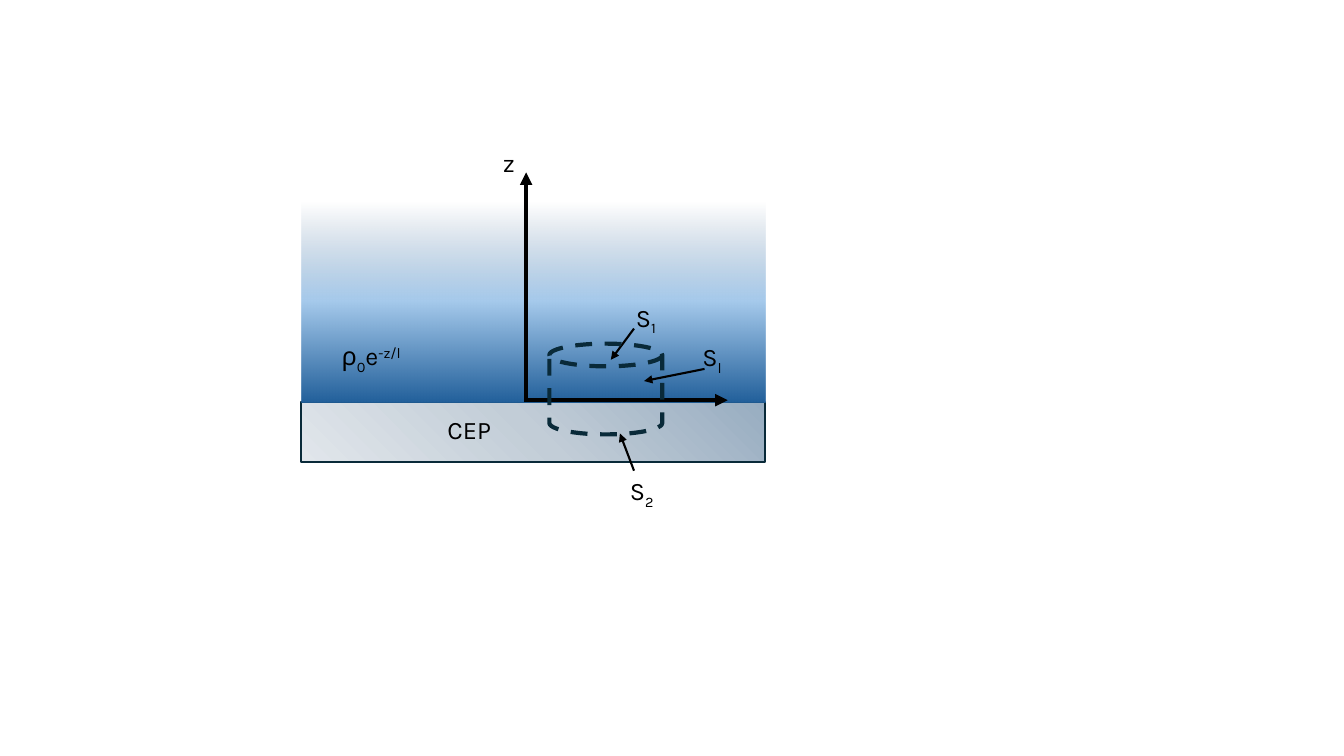
"""Draw a charged layer above a conducting plate with its cylindrical Gauss surface."""
from dataclasses import dataclass

from lxml import etree
from pptx import Presentation
from pptx.dml.color import RGBColor
from pptx.enum import dml, shapes, text
from pptx.oxml import ns
from pptx.util import Pt

COLOURS = {
    "ink": "000000",
    "outline": "092A39",
    "steel": "98ADC1",
    "silver": "C2CDD7",
    "pale": "E1E6EB",
    "sky": "A6CAEC",
    "deep": "215F9A",
}
LABEL_FONT = {"name": "Karla", "size": Pt(18)}
LABEL_FRAME = {"word_wrap": True, "auto_size": text.MSO_AUTO_SIZE.SHAPE_TO_FIT_TEXT}
LABEL_HEIGHT = 28.8
SUB, SUP = -25, 30
LEFT, SURFACE, WIDTH = 215.28, 287.28, 331.2


@dataclass
class Stop:
    """One gradient stop, in percent."""
    position: int
    colour: str
    opacity: int = 100


@dataclass
class Body:
    """A preset shape with an optional gradient and outline."""
    preset: shapes.MSO_SHAPE
    box: tuple[float, float, float, float]
    stops: tuple[Stop, ...] = ()
    angle: int = 0
    line_width: float = 0
    dashed: bool = False


@dataclass
class Arrow:
    """A straight arrow between two points."""
    start: tuple[float, float]
    tip: tuple[float, float]
    width: float


@dataclass
class Label:
    """A text label made of (text, baseline) pieces."""
    left: float
    top: float
    width: float
    pieces: tuple[tuple[str, int], ...]


PLATE = Body(shapes.MSO_SHAPE.RECTANGLE, (LEFT, SURFACE, WIDTH, 42.48),
             (Stop(0, "steel"), Stop(50, "silver"), Stop(100, "pale")), 135, 1.5)
CHARGE = Body(shapes.MSO_SHAPE.RECTANGLE, (LEFT, 144.72, WIDTH, SURFACE - 144.72),
              (Stop(0, "steel", 0), Stop(49, "sky"), Stop(100, "deep")), 90)
CYLINDER = Body(shapes.MSO_SHAPE.CAN, (392.4, 245.52, 80.64, 64.8),
                line_width=3, dashed=True)
ARROWS = (
    Arrow((374.4, 285.84), (519.84, 285.84), 3),
    Arrow((375.84, SURFACE), (375.84, 123.12), 3),
    Arrow((452.88, 336.24), (442.8, 309.6), 1.5),
    Arrow((452.88, 234.72), (436.32, 257.04), 1.5),
    Arrow((503.28, 263.52), (460.08, 272.16), 1.5),
)
LABELS = (
    Label(312.48, 292.32, 79.92, (("CEP", 0),)),
    Label(352.08, 101.52, 51.12, (("z", 0),)),
    Label(447.12, 212.4, 52.56, (("S", 0), ("1", SUB))),
    Label(442.8, 336.24, 52.56, (("S", 0), ("2", SUB))),
    Label(236.88, 239.76, 66.96, (("ρ", 0), ("0", SUB), ("e", 0), ("-z/l", SUP))),
    Label(494.64, 240.48, 52.56, (("S", 0), ("l", SUB))),
)


def rgb(name: str) -> RGBColor:
    """Return the named colour."""
    return RGBColor.from_string(COLOURS[name])


def apply(target: object, values: dict) -> None:
    """Set every format value on the target."""
    for key, value in values.items():
        setattr(target, key, value)


def add_child(parent: etree._Element, tag: str, **attributes: object) -> etree._Element:
    """Append a DrawingML element with its attributes."""
    child = etree.SubElement(parent, ns.qn(f"a:{tag}"))
    for key, value in attributes.items():
        child.set(key, str(value))
    return child


def fill_gradient(shape, stops: tuple[Stop, ...], angle: int) -> None:
    """Fill the shape with a linear gradient, its angle clockwise."""
    shape.fill.gradient()
    gradient = shape._element.spPr.find(ns.qn("a:gradFill"))
    for child in list(gradient):
        gradient.remove(child)
    stop_list = add_child(gradient, "gsLst")
    for stop in stops:
        entry = add_child(stop_list, "gs", pos=stop.position * 1000)
        colour = add_child(entry, "srgbClr", val=COLOURS[stop.colour])
        if stop.opacity < 100:
            add_child(colour, "alpha", val=stop.opacity * 1000)
    add_child(gradient, "lin", ang=angle * 60000, scaled=0)


def draw_body(slide, body: Body) -> None:
    """Draw a preset shape."""
    shape = slide.shapes.add_shape(body.preset, *map(Pt, body.box))
    shape.shadow.inherit = False
    if body.stops:
        fill_gradient(shape, body.stops, body.angle)
    else:
        shape.fill.background()
    if body.line_width:
        shape.line.color.rgb = rgb("outline")
        shape.line.width = Pt(body.line_width)
    else:
        shape.line.fill.background()
    if body.dashed:
        shape.line.dash_style = dml.MSO_LINE.DASH


def draw_arrow(slide, arrow: Arrow) -> None:
    """Draw a straight arrow with a triangular tip."""
    connector = slide.shapes.add_connector(
        shapes.MSO_CONNECTOR.STRAIGHT, *map(Pt, arrow.start + arrow.tip))
    connector.line.color.rgb = rgb("ink")
    connector.line.width = Pt(arrow.width)
    add_child(connector.line._get_or_add_ln(), "tailEnd", type="triangle")
    add_child(connector._element.spPr, "effectLst")


def draw_label(slide, label: Label) -> None:
    """Draw a label with raised and lowered pieces."""
    box = slide.shapes.add_textbox(
        *map(Pt, (label.left, label.top, label.width, LABEL_HEIGHT)))
    apply(box.text_frame, LABEL_FRAME)
    for piece, baseline in label.pieces:
        run = box.text_frame.paragraphs[0].add_run()
        run.text = piece
        apply(run.font, LABEL_FONT)
        run.font.color.rgb = rgb("ink")
        if baseline:
            run._r.get_or_add_rPr().set("baseline", str(baseline * 1000))


def main() -> None:
    """Build and save the slide."""
    deck = Presentation()
    apply(deck, {"slide_width": Pt(960), "slide_height": Pt(540)})
    slide = deck.slides.add_slide(deck.slide_layouts[6])
    draw_body(slide, PLATE)
    draw_body(slide, CHARGE)
    for arrow in ARROWS:
        draw_arrow(slide, arrow)
    draw_body(slide, CYLINDER)
    for label in LABELS:
        draw_label(slide, label)
    deck.save("out.pptx")


if __name__ == "__main__":
    main()
